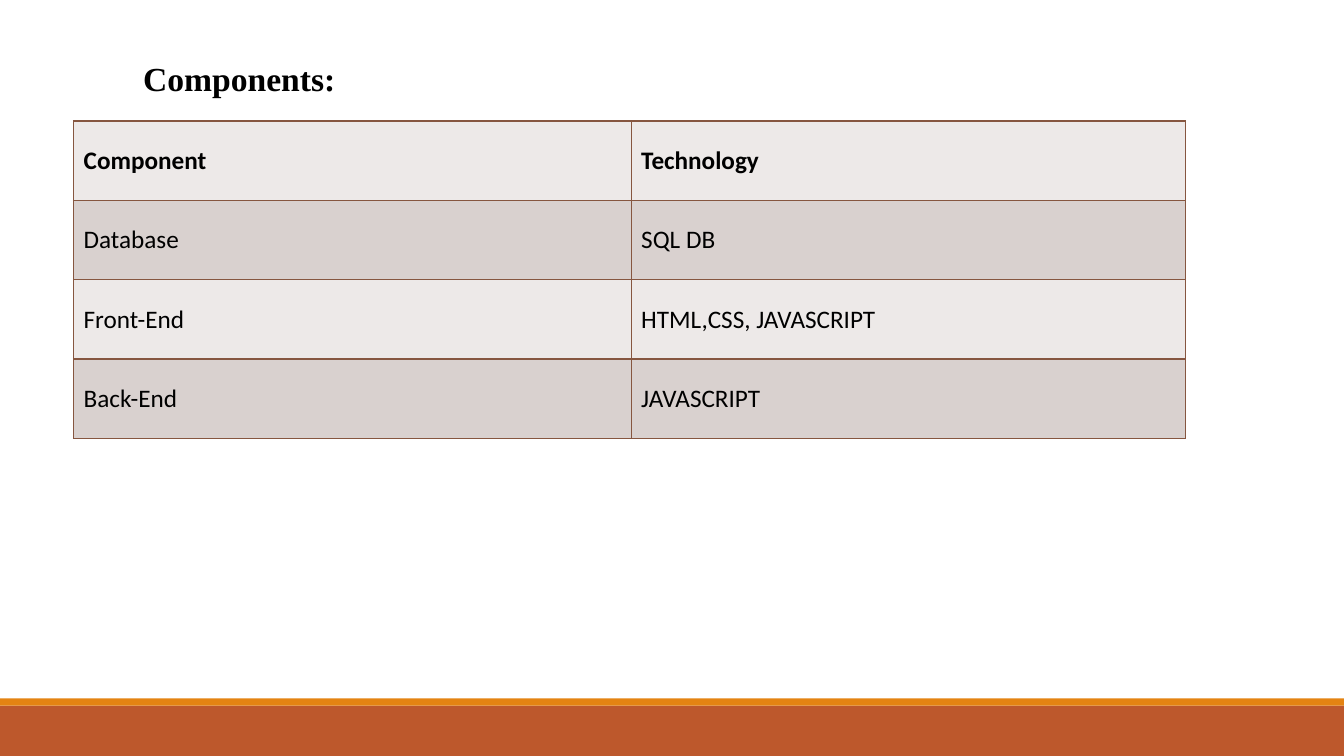
from lxml import etree
from pptx import Presentation
from pptx.dml.color import RGBColor
from pptx.enum.shapes import MSO_SHAPE
from pptx.enum.text import MSO_ANCHOR
from pptx.oxml.ns import qn
from pptx.util import Inches, Pt

RECT = MSO_SHAPE.RECTANGLE
MIDDLE = MSO_ANCHOR.MIDDLE

SLIDE_W, SLIDE_H = 13.33, 7.5
BLACK = "000000"
BORDER = "865640"
BANDS = ("EDE9E8", "D9D1CF")
ROWS = [
    ("Component", "Technology"),
    ("Database", "SQL DB"),
    ("Front-End", "HTML,CSS, JAVASCRIPT"),
    ("Back-End", "JAVASCRIPT"),
]


def rgb(color):
    return RGBColor.from_string(color)


def set_font(p, name, size, bold):
    p.font.name = name
    p.font.size = Pt(size)
    p.font.bold = bold
    p.font.color.rgb = rgb(BLACK)


def add_bar(s, x, y, w, h, color):
    sp = s.shapes.add_shape(RECT, Inches(x), Inches(y), Inches(w), Inches(h))
    sp.shadow.inherit = False
    sp.fill.solid()
    sp.fill.fore_color.rgb = rgb(color)
    sp.line.fill.background()


def add_footer(s, x, y, w, h, stripe_h=0.07):
    add_bar(s, x, y + stripe_h, w, h - stripe_h, "BD582C")
    add_bar(s, x, y, w, stripe_h, "E48312")


def add_title(s, x, y, w, h, text):
    tf = s.shapes.add_textbox(Inches(x), Inches(y), Inches(w), Inches(h)).text_frame
    tf.word_wrap = True
    p = tf.paragraphs[0]
    p.text = text
    p.line_spacing = 1.5
    set_font(p, "Times New Roman", 24, True)


def set_borders(cell, color, width):
    tcPr = cell._tc.get_or_add_tcPr()
    # Border lines come before the fill in the cell properties
    for i, side in enumerate(("a:lnL", "a:lnR", "a:lnT", "a:lnB")):
        ln = etree.Element(qn(side), w=str(Pt(width)))
        fill = etree.SubElement(ln, qn("a:solidFill"))
        etree.SubElement(fill, qn("a:srgbClr"), val=color)
        tcPr.insert(i, ln)


def add_component_table(s, x, y, col_widths, h, rows):
    table = s.shapes.add_table(len(rows), len(col_widths), Inches(x), Inches(y),
                               Inches(sum(col_widths)), Inches(h)).table
    for column, width in zip(table.columns, col_widths):
        column.width = Inches(width)
    for r, texts in enumerate(rows):
        for c, text in enumerate(texts):
            cell = table.cell(r, c)
            cell.text = text
            cell.vertical_anchor = MIDDLE
            cell.fill.solid()
            cell.fill.fore_color.rgb = rgb(BANDS[r % 2])
            set_font(cell.text_frame.paragraphs[0], "Calibri", 18, r == 0)
            set_borders(cell, BORDER, 1)


def main():
    prs = Presentation()
    prs.slide_width, prs.slide_height = Inches(SLIDE_W), Inches(SLIDE_H)
    s = prs.slides.add_slide(prs.slide_layouts[6])

    # Footer bars, table, heading
    add_footer(s, 0, 6.93, SLIDE_W, SLIDE_H - 6.93)
    add_component_table(s, 0.73, 1.2, (5.53, 5.5), 3.15, ROWS)
    add_title(s, 1.32, 0.33, 9.32, 0.63, "Components:")
    prs.save("out.pptx")


if __name__ == "__main__":
    main()
